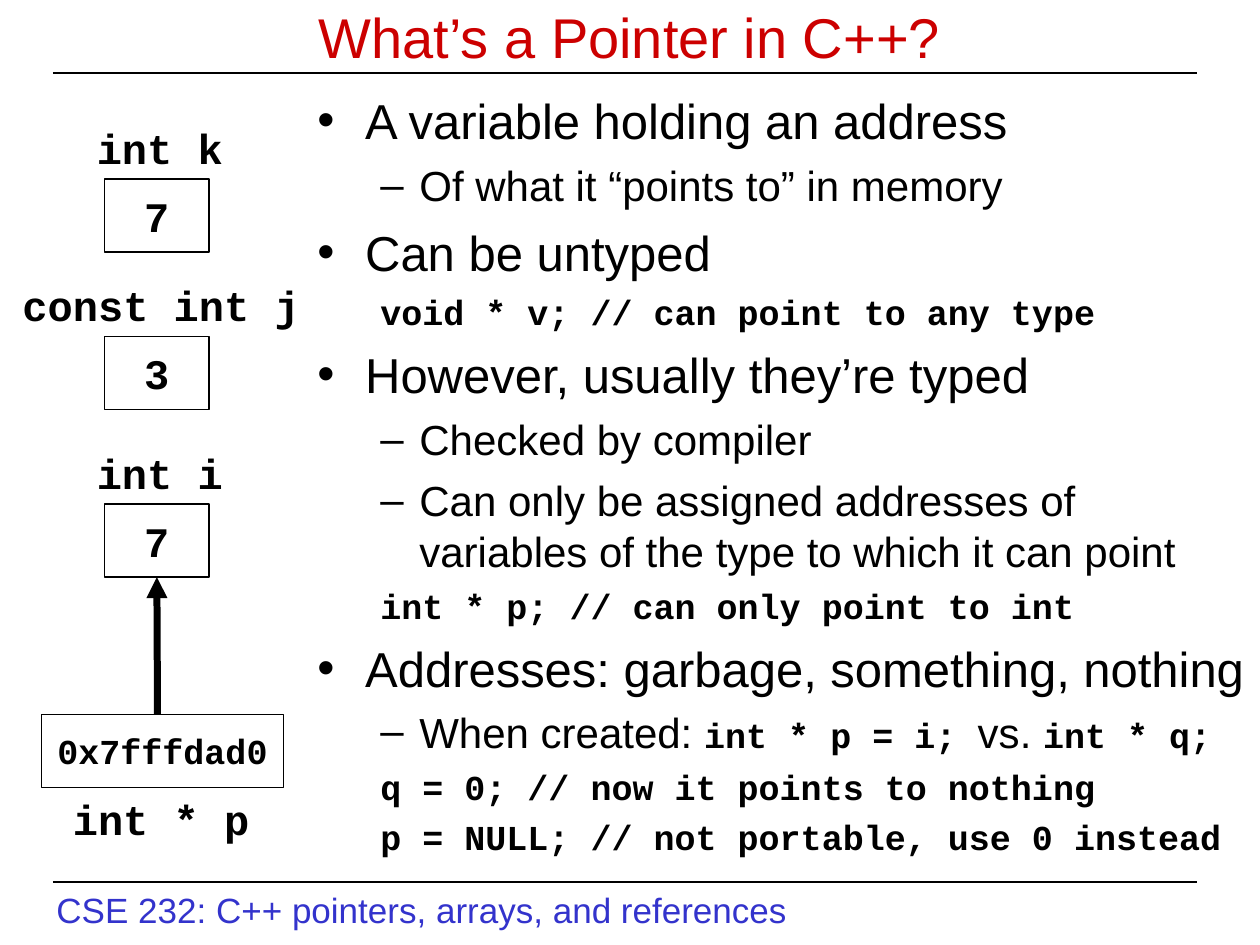
from pptx import Presentation
from pptx.dml.color import RGBColor
from pptx.enum.shapes import MSO_CONNECTOR as Connector, MSO_SHAPE as Shape
from pptx.enum.text import MSO_ANCHOR as Anchor, PP_ALIGN as Align
from pptx.oxml.ns import qn
from pptx.util import Inches, Pt
from lxml.etree import SubElement

COLORS = {"ink": "000000", "paper": "FFFFFF", "title": "CC0000", "footer": "3333CC"}
SANS, MONO = "Arial", "Courier New"

CODE = {"size": 20, "name": MONO, "bold": True}
POINT = {"size": 28}
DETAIL = {"size": 24}
LABEL = {"size": 24, "name": MONO, "bold": True}

LEVELS = {
    "point": {"bullet": "•", "margin": 0.38, "indent": -0.38, "level": 0},
    "detail": {"bullet": "–", "margin": 0.81, "indent": -0.31, "level": 1},
    "code": {"bullet": None, "margin": 0.81, "indent": -0.31, "level": 1},
}

OUTLINE = [
    ("point", 7, [("A variable holding an address", POINT)]),
    ("detail", 6, [("Of what it “points to” in memory", DETAIL)]),
    ("point", 7, [("Can be untyped", POINT)]),
    ("code", 5, [("void * v; // can point to any type", CODE)]),
    ("point", 7, [("However, usually they’re typed", POINT)]),
    ("detail", 6, [("Checked by compiler", DETAIL)]),
    ("detail", 6, [("Can only be assigned addresses of variables "
                    "of the type to which it can point", DETAIL)]),
    ("code", 5, [("int * p; // can only point to int", CODE)]),
    ("point", 7, [("Addresses: garbage, something, nothing", POINT)]),
    ("detail", 5, [("When created: ", DETAIL), ("int * p = i; ", CODE),
                   ("vs. ", DETAIL), ("int * q;", CODE)]),
    ("code", 5, [("q = 0; // now it points to nothing", CODE)]),
    ("code", 5, [("p = NULL; // not portable, use 0 instead", CODE)]),
]

VARIABLES = [
    ("int k", "7", 0.67, 1.2, 1.42),
    ("const int j", "3", 0.08, 2.4, 2.67),
    ("int i", "7", 0.67, 1.2, 4),
]


def rgb(color):
    """Look up a named colour."""
    return RGBColor.from_string(COLORS[color])


def add_run(paragraph, text, style, color="ink"):
    """Append a run of text in the given style."""
    run = paragraph.add_run()
    run.text = text
    look = {"name": SANS, "bold": False, **style}
    look["size"] = Pt(look["size"])
    for attribute, value in look.items():
        setattr(run.font, attribute, value)
    run.font.color.rgb = rgb(color)


def add_text(slide, box, text, style, color="ink", **layout):
    """Add a text box holding one line."""
    frame = slide.shapes.add_textbox(*map(Inches, box)).text_frame
    for attribute, value in {"word_wrap": False, **layout}.items():
        setattr(frame, attribute, value)
    add_run(frame.paragraphs[0], text, style, color)
    return frame


def add_line(slide, start, end, width=0.75):
    """Add a straight black line without a shadow."""
    line = slide.shapes.add_connector(Connector.STRAIGHT, *map(Inches, start + end))
    line.line.color.rgb = rgb("ink")
    line.line.width = Pt(width)
    SubElement(line._element.spPr, qn("a:effectLst"))
    return line


def add_memory_cell(slide, box, value, style):
    """Add an outlined rectangle showing a stored value."""
    cell = slide.shapes.add_shape(Shape.RECTANGLE, *map(Inches, box))
    cell.shadow.inherit = False
    cell.fill.solid()
    cell.fill.fore_color.rgb = rgb("paper")
    cell.line.color.rgb = rgb("ink")
    cell.line.width = Pt(0.75)
    frame = cell.text_frame
    frame.word_wrap = False
    frame.vertical_anchor = Anchor.MIDDLE
    frame.paragraphs[0].alignment = Align.CENTER
    add_run(frame.paragraphs[0], value, style)
    return cell


def format_level(paragraph, level, space):
    """Set the indent, spacing and bullet of an outline paragraph."""
    paragraph.level = level["level"]
    paragraph.space_before = Pt(space)
    properties = paragraph._p.get_or_add_pPr()
    properties.set("marL", str(Inches(level["margin"])))
    properties.set("indent", str(Inches(level["indent"])))
    if level["bullet"]:
        bullet_color = SubElement(properties, qn("a:buClr"))
        SubElement(bullet_color, qn("a:srgbClr"), val=COLORS["ink"])
        SubElement(properties, qn("a:buFont"), typeface=SANS)
        SubElement(properties, qn("a:buChar"), char=level["bullet"])
    else:
        SubElement(properties, qn("a:buNone"))


def add_outline(slide, box):
    """Add the bulleted explanation of pointers."""
    frame = slide.shapes.add_textbox(*map(Inches, box)).text_frame
    frame.word_wrap = True
    for index, (level, space, runs) in enumerate(OUTLINE):
        paragraph = frame.add_paragraph() if index else frame.paragraphs[0]
        format_level(paragraph, LEVELS[level], space)
        for text, style in runs:
            add_run(paragraph, text, style)


def add_arrow(slide, start, target):
    """Point a thick arrow at the bottom of the target cell."""
    arrow = add_line(slide, start, start, 4)
    arrow.end_connect(target, 2)
    SubElement(arrow.line._get_or_add_ln(), qn("a:tailEnd"), type="triangle")


def main():
    """Build the slide and save it."""
    deck = Presentation()
    deck.slide_width, deck.slide_height = Inches(10), Inches(7.5)
    slide = deck.slides.add_slide(deck.slide_layouts[6])

    add_text(slide, (0.35, 7, 6, 0.44), "CSE 232: C++ pointers, arrays, and references",
             {"size": 20}, "footer")
    for y in (7, 0.58):
        add_line(slide, (0.42, y), (9.5, y))
    title = add_text(slide, (0.25, 0, 9.5, 0.58), "What’s a Pointer in C++?", {"size": 32},
                     "title", word_wrap=True, vertical_anchor=Anchor.MIDDLE)
    title.paragraphs[0].alignment = Align.CENTER
    add_outline(slide, (2.42, 0.67, 7.58, 6.33))

    for name, value, left, width, top in VARIABLES:
        add_text(slide, (left, top - 0.5, width, 0.5), name, LABEL)
        pointee = add_memory_cell(slide, (0.83, top, 0.83, 0.58), value, LABEL)
    add_memory_cell(slide, (0.33, 5.67, 1.92, 0.58), "0x7fffdad0", CODE)
    add_text(slide, (0.48, 6.25, 1.6, 0.5), "int * p", LABEL)
    add_arrow(slide, (1.25, 5.67), pointee)

    deck.save("out.pptx")


if __name__ == "__main__":
    main()
